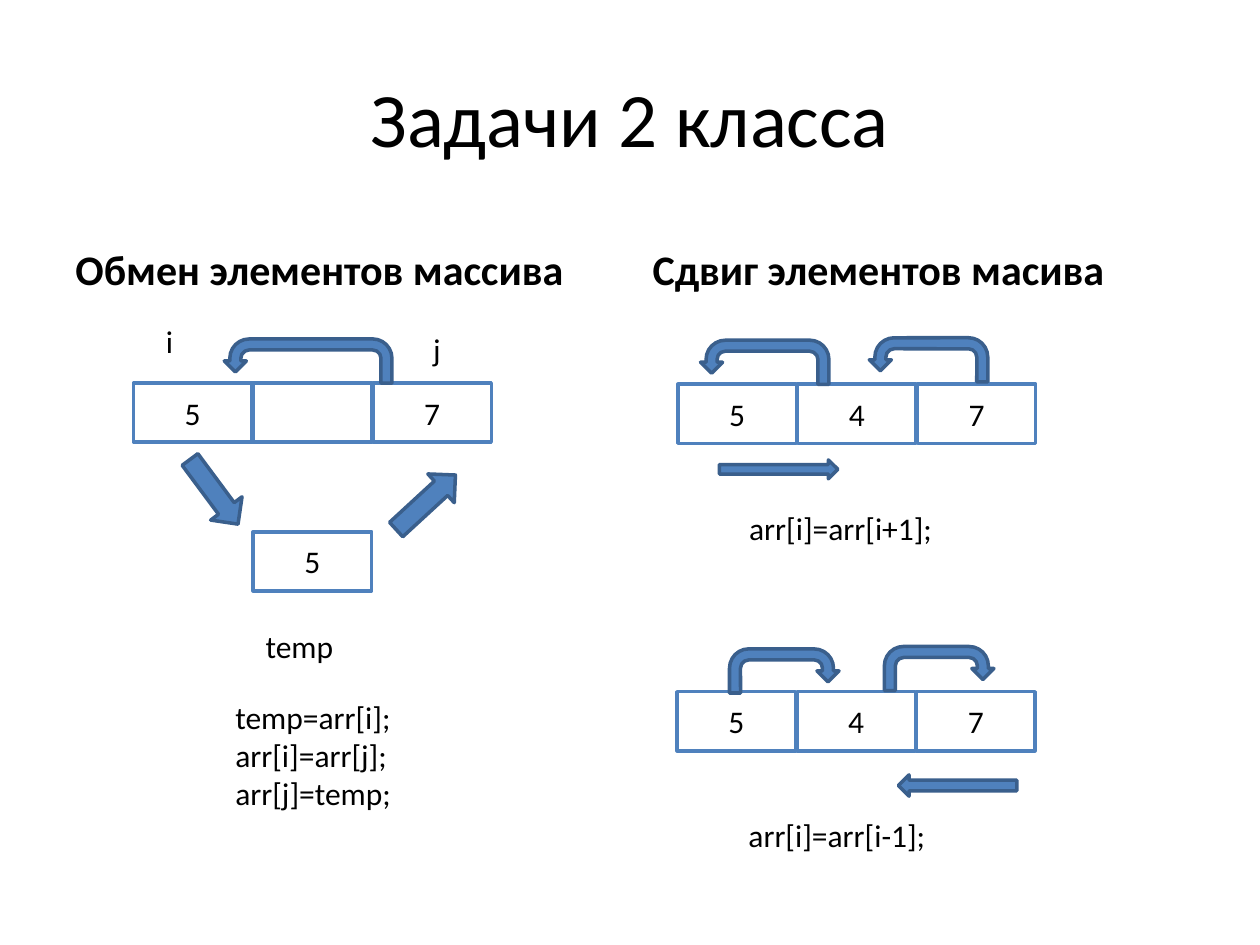
from dataclasses import dataclass

from pptx import Presentation
from pptx.dml.color import RGBColor
from pptx.enum.shapes import MSO_SHAPE
from pptx.enum.text import MSO_ANCHOR, MSO_AUTO_SIZE, PP_ALIGN
from pptx.util import Pt


@dataclass(frozen=True)
class Theme:
    font: str = "Calibri"
    ink: RGBColor = RGBColor(0x00, 0x00, 0x00)
    paper: RGBColor = RGBColor(0xFF, 0xFF, 0xFF)
    blue: RGBColor = RGBColor(0x4F, 0x81, 0xBD)
    edge: RGBColor = RGBColor(0x3A, 0x5F, 0x8C)
    title: int = 44
    heading: int = 24
    body: int = 18
    line: int = 2


THEME = Theme()
CELL_W, CELL_H, PITCH = 67.7, 33.8, 68.4
LABEL_H = 29


def write(tf, text, size, bold=False, align=PP_ALIGN.LEFT):
    tf.text = text
    tf.word_wrap = True
    for p in tf.paragraphs:
        p.alignment = align
        for r in p.runs:
            r.font.name = THEME.font
            r.font.size = Pt(size)
            r.font.bold = bold
            r.font.color.rgb = THEME.ink


def add_heading(slide, box, text, size, anchor, **style):
    tf = slide.shapes.add_textbox(*map(Pt, box)).text_frame
    write(tf, text, size, **style)
    tf.vertical_anchor = anchor


def add_label(slide, x, y, w, h, text):
    tf = slide.shapes.add_textbox(Pt(x), Pt(y), Pt(w), Pt(h)).text_frame
    write(tf, text, THEME.body)
    tf.auto_size = MSO_AUTO_SIZE.SHAPE_TO_FIT_TEXT


def add_block(slide, kind, x, y, w, h, fill, line):
    s = slide.shapes.add_shape(kind, Pt(x), Pt(y), Pt(w), Pt(h))
    s.shadow.inherit = False
    s.fill.solid()
    s.fill.fore_color.rgb = fill
    s.line.color.rgb = line
    s.line.width = Pt(THEME.line)
    return s


def add_cell(slide, x, y, value):
    s = add_block(slide, MSO_SHAPE.RECTANGLE, x, y, CELL_W, CELL_H,
                  THEME.paper, THEME.blue)
    if value:
        write(s.text_frame, value, THEME.body, align=PP_ALIGN.CENTER)
        s.text_frame.vertical_anchor = MSO_ANCHOR.MIDDLE


def add_array(slide, x, y, values):
    for i, value in enumerate(values):
        add_cell(slide, x + i * PITCH, y, value)


def add_arrow(slide, kind, x, y, w, h, rotation=0, flip=False):
    s = add_block(slide, kind, x, y, w, h, THEME.blue, THEME.edge)
    s.rotation = rotation
    if flip:
        s._element.spPr.get_or_add_xfrm().set("flipH", "1")


def add_swap(slide, x, y):
    add_array(slide, x, y, ["5", "", "7"])
    add_cell(slide, x + PITCH, y + 85, "5")
    add_label(slide, x + 11.5, y - 38.2, 45, LABEL_H, "i")
    add_label(slide, x + 164.2, y - 33.9, 45, LABEL_H, "j")
    add_arrow(slide, MSO_SHAPE.RIGHT_ARROW, x + 23, y + 51, 46, 22.3, 53.4)
    add_arrow(slide, MSO_SHAPE.RIGHT_ARROW, x + 144, y + 57, 46, 22.3, 317.4)
    add_arrow(slide, MSO_SHAPE.U_TURN_ARROW, x + 51.9, y - 25.2, 95.8, 25.2,
              flip=True)
    add_label(slide, x + 68.4, y + 136, 62.6, LABEL_H, "temp")
    add_label(slide, x + 51.1, y + 176.4, 170, 72.7,
              "temp=arr[i];\narr[i]=arr[j];\narr[j]=temp;")


def add_shift(slide, x, y, code, arcs, pointer, to_left):
    add_array(slide, x, y, ["5", "4", "7"])
    for dx, dy, w in arcs:
        add_arrow(slide, MSO_SHAPE.U_TURN_ARROW, x + dx, y + dy, w, 25.2,
                  flip=to_left)
    dx, dy, h = pointer
    add_arrow(slide, MSO_SHAPE.RIGHT_ARROW, x + dx, y + dy, CELL_W, h,
              flip=not to_left)
    add_label(slide, x + 33.6, y + 67.7, 170, LABEL_H, code)


def main():
    prs = Presentation()
    prs.slide_width, prs.slide_height = Pt(720), Pt(540)
    slide = prs.slides.add_slide(prs.slide_layouts[6])
    add_heading(slide, (36, 21.6, 648, 90), "Задачи 2 класса", THEME.title,
                MSO_ANCHOR.MIDDLE, align=PP_ALIGN.CENTER)
    for x, text in ((36, "Обмен элементов массива"),
                    (365.8, "Сдвиг элементов масива")):
        add_heading(slide, (x, 121, 318.2, 50.4), text, THEME.heading,
                    MSO_ANCHOR.BOTTOM, bold=True)
    add_swap(slide, 76.3, 218.9)
    add_shift(slide, 387.4, 219.6, "arr[i]=arr[i+1];",
              arcs=[(12.9, -25.2, 73.4), (109.4, -26.6, 67.7)],
              pointer=(23.7, 43.2, 10.8), to_left=True)
    add_shift(slide, 387, 395.3, "arr[i]=arr[i-1];",
              arcs=[(29.9, -24.5, 62.6), (118.4, -25.9, 62.6)],
              pointer=(126.4, 47.5, 12.2), to_left=False)
    prs.save("out.pptx")


if __name__ == "__main__":
    main()
